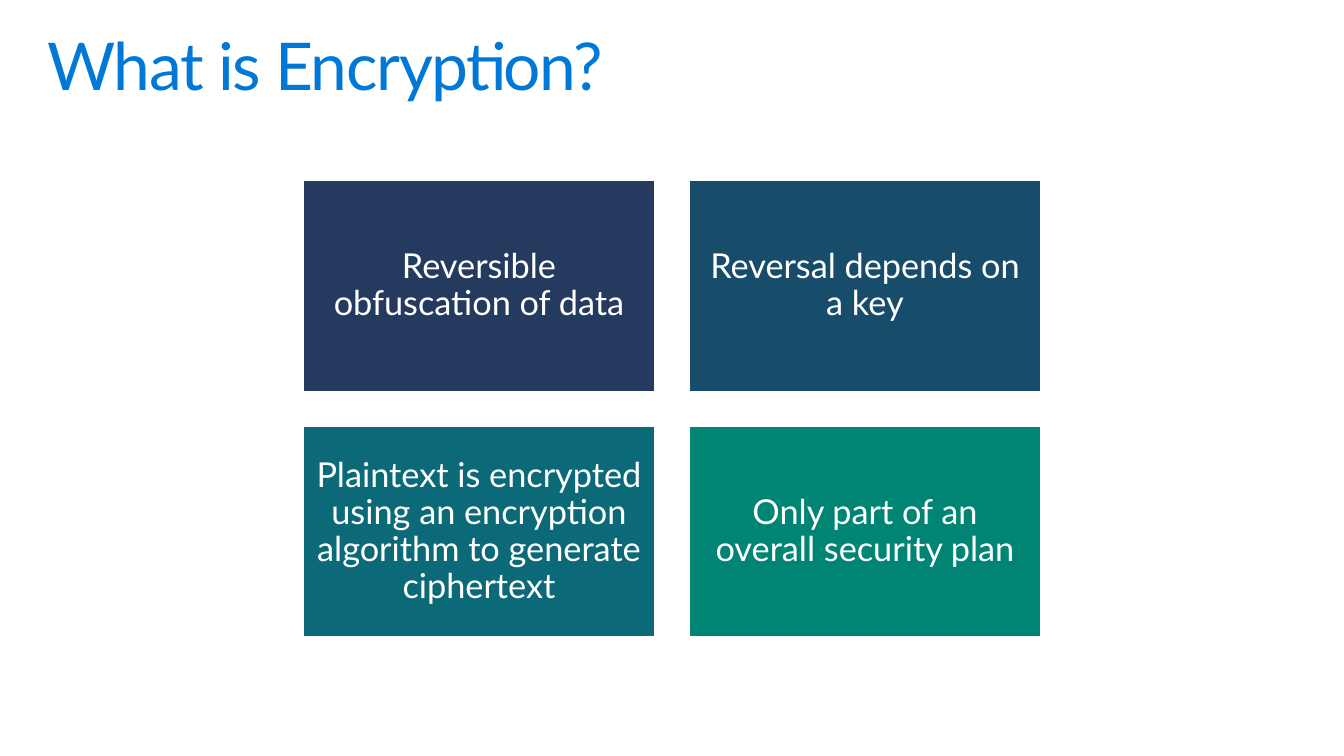
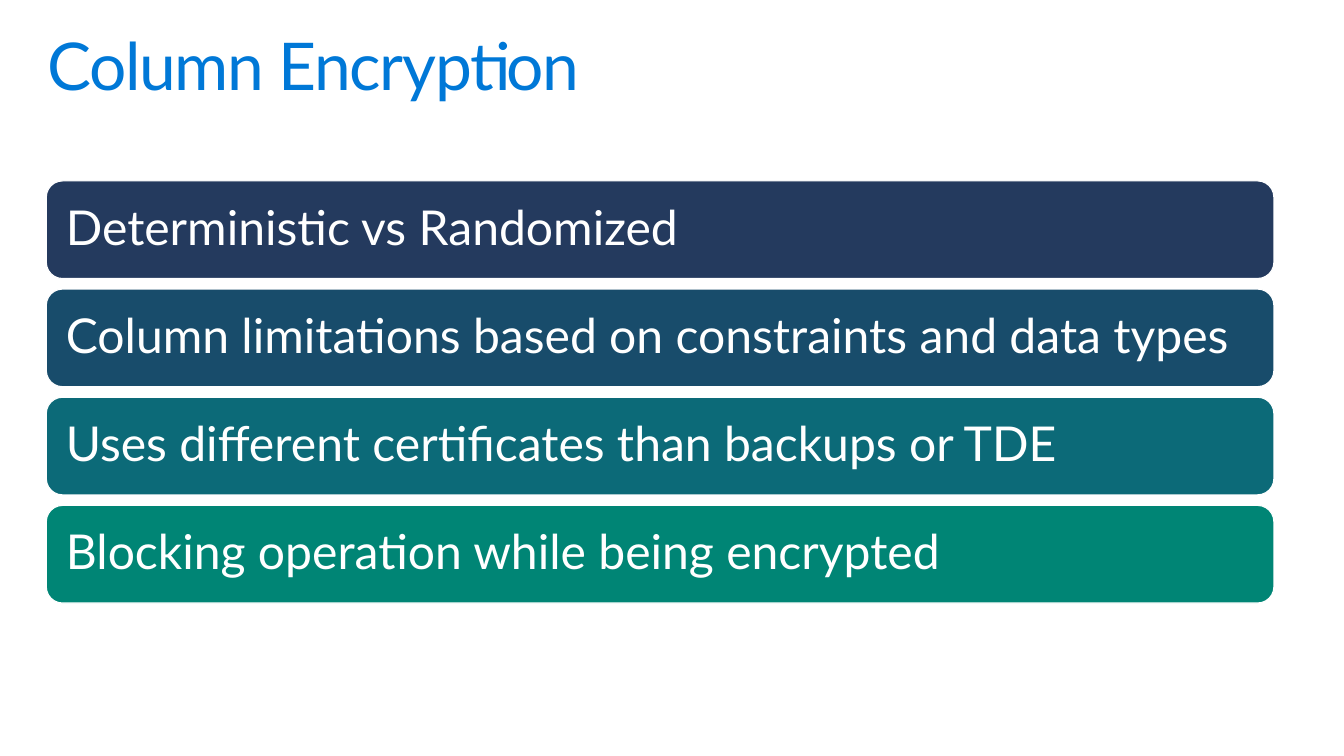
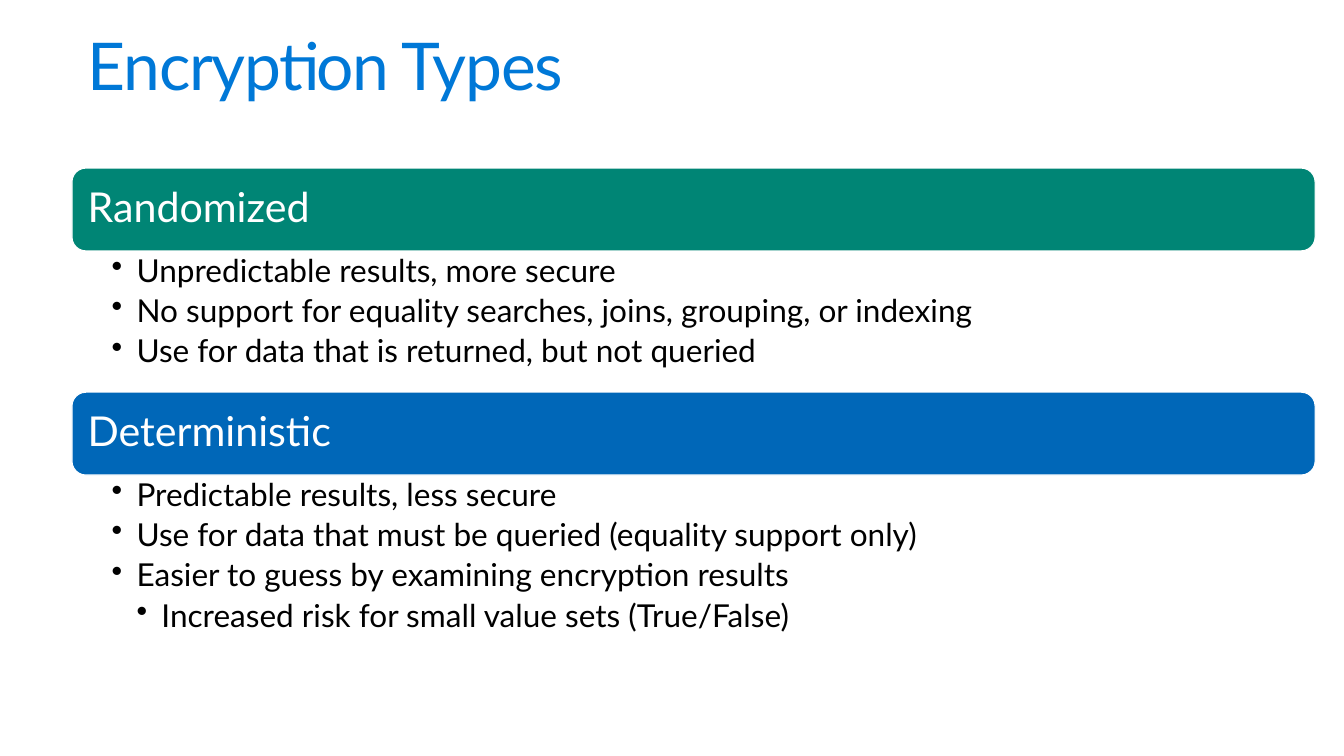
import lxml.etree
import pptx
import pptx.dml.color
import pptx.enum.shapes
import pptx.enum.text
import pptx.oxml.ns
import pptx.util

Cm = pptx.util.Cm
Pt = pptx.util.Pt
RGBColor = pptx.dml.color.RGBColor
Align = pptx.enum.text.PP_ALIGN
Anchor = pptx.enum.text.MSO_ANCHOR
Shape = pptx.enum.shapes.MSO_SHAPE

WHITE = RGBColor(0xFF, 0xFF, 0xFF)
BLACK = RGBColor(0x00, 0x00, 0x00)
TITLE_BLUE = RGBColor(0x00, 0x78, 0xD7)
NAVY = RGBColor(0x24, 0x3A, 0x5E)
STEEL = RGBColor(0x18, 0x4C, 0x6B)
TEAL = RGBColor(0x0C, 0x6A, 0x78)
GREEN = RGBColor(0x00, 0x85, 0x75)
BLUE = RGBColor(0x00, 0x67, 0xB8)
RAMP = (NAVY, STEEL, TEAL, GREEN)
FONT = "Lato"
TITLE_ONLY = 5


def write(para, text, *, size, color=WHITE, align=Align.LEFT, after=0, tracking=None):
    """Put one formatted run of text into a paragraph."""
    para.alignment = align
    para.line_spacing = 0.9
    para.space_before = Pt(0)
    para.space_after = Pt(after)
    span = para.add_run()
    span.text = text
    span.font.name = FONT
    span.font.size = Pt(size)
    span.font.color.rgb = color
    if tracking is not None:
        span.font._element.set("spc", str(round(tracking * 100)))


def add_bullet(para, depth):
    """Give a paragraph a hanging bullet at the given depth."""
    indent = Cm(0.64)
    props = para._p.get_or_add_pPr()
    props.set("marL", str(indent * depth))
    props.set("indent", str(-indent))
    lxml.etree.SubElement(props, pptx.oxml.ns.qn("a:buChar"), char="•")


def set_frame(frame, anchor, left, top, right, bottom):
    """Set wrapping, anchor and margins in centimetres."""
    frame.word_wrap = True
    frame.auto_size = pptx.enum.text.MSO_AUTO_SIZE.NONE
    frame.vertical_anchor = anchor
    frame.margin_left, frame.margin_top = Cm(left), Cm(top)
    frame.margin_right, frame.margin_bottom = Cm(right), Cm(bottom)


class DeckBuilder:
    """Hold the deck style and the current page."""

    def __init__(self):
        """Start an empty widescreen deck."""
        self.deck = pptx.Presentation()
        self.deck.slide_width = Cm(34.54)
        self.deck.slide_height = Cm(19.43)
        self.page = None

    def add_page(self, title, left=0.81, width=33.02):
        """Add a page with its title."""
        layout = self.deck.slide_layouts[TITLE_ONLY]
        self.page = self.deck.slides.add_slide(layout)
        box = self.page.shapes.title
        box.left, box.top, box.width, box.height = Cm(left), Cm(0.61), Cm(width), Cm(2.54)
        set_frame(box.text_frame, Anchor.TOP, 0.41, 0.25, 0.41, 0.25)
        write(box.text_frame.paragraphs[0], title, size=48, color=TITLE_BLUE, tracking=-1)

    def add_panel(self, kind, text, fill, left, top, width, height, margin, **style):
        """Add a filled shape with centred-height text."""
        box = self.page.shapes.add_shape(kind, Cm(left), Cm(top), Cm(width), Cm(height))
        box.shadow.inherit = False
        box.fill.solid()
        box.fill.fore_color.rgb = fill
        box.line.color.rgb = WHITE
        box.line.width = Pt(0.85)
        set_frame(box.text_frame, Anchor.MIDDLE, margin, margin, margin, margin)
        write(box.text_frame.paragraphs[0], text, **style)

    def add_tile(self, text, fill, left, top, width, height):
        """Add a square-cornered tile with centred text."""
        self.add_panel(Shape.RECTANGLE, text, fill, left, top, width, height,
                       0.25, size=25, align=Align.CENTER)

    def add_bar(self, text, fill, left, top, width, height, margin, size):
        """Add a rounded bar with left-aligned text."""
        self.add_panel(Shape.ROUNDED_RECTANGLE, text, fill, left, top, width, height,
                       margin, size=size)

    def add_list(self, items, left, top, width, height):
        """Add a bulleted list from (depth, text) pairs."""
        box = self.page.shapes.add_textbox(Cm(left), Cm(top), Cm(width), Cm(height))
        frame = box.text_frame
        set_frame(frame, Anchor.TOP, 1.02, 0.1, 0.58, 0.1)
        for index, (depth, text) in enumerate(items):
            para = frame.add_paragraph() if index else frame.paragraphs[0]
            para.level = depth
            write(para, text, size=23, color=BLACK, after=4.6)
            add_bullet(para, depth)


def build_definition(builder):
    """Build the two-by-two grid of tiles."""
    builder.add_page("What is Encryption?")
    texts = (
        "Reversible obfuscation of data",
        "Reversal depends on a key",
        "Plaintext is encrypted using an encryption algorithm to generate ciphertext",
        "Only part of an overall security plan",
    )
    width, height, gap = 9.02, 5.41, 0.9
    for index, (text, fill) in enumerate(zip(texts, RAMP)):
        row, column = divmod(index, 2)
        builder.add_tile(text, fill, 7.8 + column * (width + gap),
                         4.65 + row * (height + gap), width, height)


def build_column_encryption(builder):
    """Build the stack of four bars."""
    builder.add_page("Column Encryption")
    texts = (
        "Deterministic vs Randomized",
        "Column limitations based on constraints and data types",
        "Uses different certificates than backups or TDE",
        "Blocking operation while being encrypted",
    )
    height, gap = 2.51, 0.27
    for index, (text, fill) in enumerate(zip(texts, RAMP)):
        builder.add_bar(text, fill, 1.19, 4.65 + index * (height + gap), 31.55, height,
                        margin=0.38, size=35)


def build_types(builder):
    """Build the two headed lists."""
    left, top, width, bar_height = 1.85, 4.32, 31.95, 2.13
    builder.add_page("Encryption Types", left, width)
    sections = (
        ("Randomized", GREEN, 3.63, (
            (1, "Unpredictable results, more secure"),
            (1, "No support for equality searches, joins, grouping, or indexing"),
            (1, "Use for data that is returned, but not queried"),
        )),
        ("Deterministic", BLUE, 4.83, (
            (1, "Predictable results, less secure"),
            (1, "Use for data that must be queried (equality support only)"),
            (1, "Easier to guess by examining encryption results"),
            (2, "Increased risk for small value sets (True/False)"),
        )),
    )
    for heading, fill, list_height, items in sections:
        builder.add_bar(heading, fill, left, top, width, bar_height, margin=0.3, size=30)
        builder.add_list(items, left, top + bar_height, width, list_height)
        top += bar_height + list_height


def main():
    """Build and save the deck."""
    builder = DeckBuilder()
    build_definition(builder)
    build_column_encryption(builder)
    build_types(builder)
    builder.deck.save("out.pptx")


if __name__ == "__main__":
    main()
